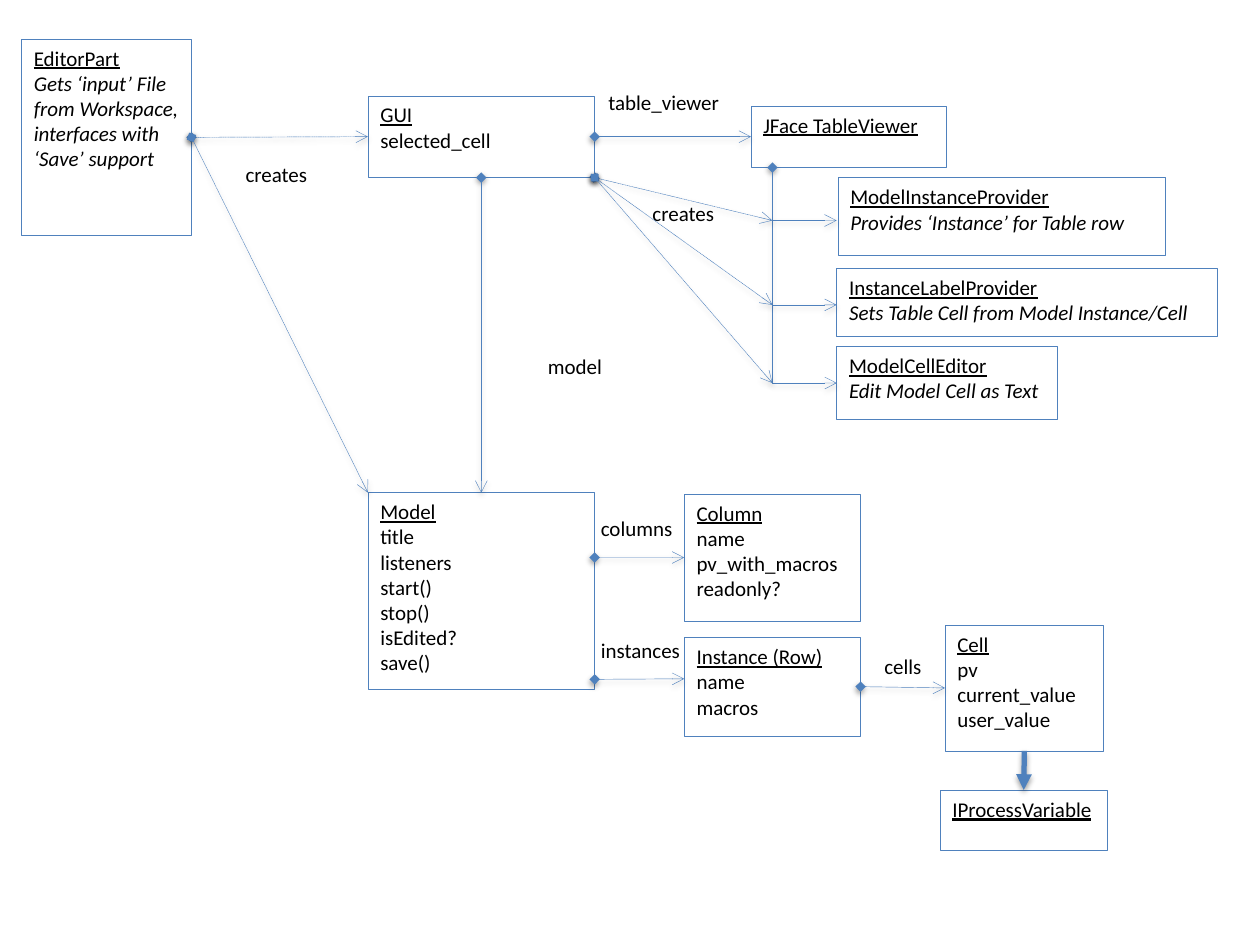
from dataclasses import dataclass

from lxml import etree
from pptx import Presentation
from pptx.dml.color import RGBColor
from pptx.enum import dml, shapes, text
from pptx.oxml import ns
from pptx.util import Inches, Pt


@dataclass(frozen=True)
class Theme:
    """Colours, font and sizes used on the slide."""
    font: str = "Calibri"
    size: int = 12
    ink: RGBColor = RGBColor(0, 0, 0)
    paper: RGBColor = RGBColor(255, 255, 255)
    accent: RGBColor = RGBColor(0x4F, 0x81, 0xBD)
    thin: float = 0.25
    thick: float = 3


THEME = Theme()

# name: (left, top, width, height), member lines, italic members
CLASSES = {
    "EditorPart": ((0.17, 0.31, 1.35, 1.56), [
        "Gets ‘input’ File from Workspace, interfaces with ‘Save’ support"], True),
    "IProcessVariable": ((7.46, 6.27, 1.33, 0.48), [], False),
    "Column": ((5.43, 3.92, 1.4, 1.01), ["name", "pv_with_macros", "readonly?"], False),
    "Model": ((2.92, 3.91, 1.8, 1.56), [
        "title", "listeners", "start()", "stop()", "isEdited?", "save()"], False),
    "GUI": ((2.92, 0.76, 1.8, 0.65), ["selected_cell"], False),
    "Instance (Row)": ((5.43, 5.06, 1.4, 0.78), ["name", "macros"], False),
    "Cell": ((7.5, 4.96, 1.26, 1), ["pv", "current_value", "user_value"], False),
    "JFace TableViewer": ((5.96, 0.84, 1.55, 0.49), [], False),
    "ModelInstanceProvider": ((6.65, 1.41, 2.6, 0.62), [
        "Provides ‘Instance’ for Table row"], True),
    "InstanceLabelProvider": ((6.64, 2.13, 3.02, 0.54), [
        "Sets Table Cell from Model Instance/Cell"], True),
    "ModelCellEditor": ((6.64, 2.75, 1.75, 0.58), ["Edit Model Cell as Text"], True),
}

LABELS = [
    ("columns", 4.67, 4.04, 0.86),
    ("creates", 1.85, 1.23, 0.75),
    ("cells", 6.92, 5.14, 0.67),
    ("instances", 4.67, 5.01, 0.86),
    ("table_viewer", 4.73, 0.66, 1.23),
    ("model", 4.25, 2.76, 0.72),
    ("creates", 5.08, 1.54, 0.75),
]
LABEL_HEIGHT = 0.37

# owner, share of its width and height; target, share of its width and height
OWNS = [
    (("Model", 1, 0.33), ("Column", 0, 0.5)),
    (("Instance (Row)", 1, 0.5), ("Cell", 0, 0.5)),
    (("Model", 1, 0.95), ("Instance (Row)", 0, 0.42)),
    (("GUI", 1, 0.5), ("JFace TableViewer", 0, 0.5)),
    (("GUI", 0.5, 1), ("Model", 0.5, 0)),
]
CREATES = [
    (("EditorPart", 1, 0.5), ("GUI", 0, 0.5)),
    (("EditorPart", 1, 0.5), ("Model", 0, 0)),
]
BUS_X = 6.13
PROVIDER_ROWS = [1.75, 2.42]
EDITOR_ROW = 3.04


def anchor(name, across, down):
    """Return the point at the given shares of a class box."""
    left, top, width, height = CLASSES[name][0]
    return left + across * width, top + down * height


def write(frame, lines, title=False, italic=False):
    """Fill a text frame, underlining the first line when it is a title."""
    frame.word_wrap = True
    frame.vertical_anchor = text.MSO_ANCHOR.TOP
    for index, line in enumerate(lines):
        para = frame.add_paragraph() if index else frame.paragraphs[0]
        para.text = line
        para.alignment = text.PP_ALIGN.LEFT
        para.font.name = THEME.font
        para.font.size = Pt(THEME.size)
        para.font.color.rgb = THEME.ink
        para.font.underline = title and index == 0
        para.font.italic = italic and index > 0


def add_class(page, name, place, members, italic):
    """Draw one class box with its title and members."""
    box = page.shapes.add_shape(shapes.MSO_SHAPE.RECTANGLE, *map(Inches, place))
    box.shadow.inherit = False
    box.fill.solid()
    box.fill.fore_color.rgb = THEME.paper
    box.line.color.rgb = THEME.accent
    box.line.width = Pt(THEME.thin)
    write(box.text_frame, [name, *members], True, italic)


def add_label(page, words, left, top, width):
    """Write one relation name."""
    box = page.shapes.add_textbox(*map(Inches, (left, top, width, LABEL_HEIGHT)))
    write(box.text_frame, [words])


def add_link(page, start, end, head="diamond", tail="arrow", dashed=False,
             width=THEME.thin, kind=shapes.MSO_CONNECTOR.STRAIGHT):
    """Draw a connector with end marks and a soft shadow."""
    link = page.shapes.add_connector(kind, *map(Inches, (*start, *end)))
    link.line.color.rgb = THEME.accent
    link.line.width = Pt(width)
    if dashed:
        link.line.dash_style = dml.MSO_LINE.SQUARE_DOT
    outline = link.line._get_or_add_ln()
    for tag, mark in (("a:headEnd", head), ("a:tailEnd", tail)):
        if mark:
            etree.SubElement(outline, ns.qn(tag), type=mark)
    effects = etree.SubElement(link._element.spPr, ns.qn("a:effectLst"))
    shadow = etree.SubElement(effects, ns.qn("a:outerShdw"), blurRad="40000",
                              dist="20000", dir="5400000", rotWithShape="0")
    colour = etree.SubElement(shadow, ns.qn("a:srgbClr"), val=str(THEME.ink))
    etree.SubElement(colour, ns.qn("a:alpha"), val="38000")
    return link


def add_corner(page, start, end):
    """Draw a connector that runs down, then right."""
    middle_x, middle_y = (start[0] + end[0]) / 2, (start[1] + end[1]) / 2
    half_x, half_y = (end[1] - start[1]) / 2, (end[0] - start[0]) / 2
    link = add_link(page, (middle_x - half_x, middle_y - half_y),
                    (middle_x + half_x, middle_y + half_y),
                    kind=shapes.MSO_CONNECTOR.ELBOW)
    properties = link._element.spPr
    properties.find(ns.qn("a:prstGeom")).set("prst", "bentConnector2")
    frame = properties.find(ns.qn("a:xfrm"))
    frame.set("rot", str(270 * 60000))
    frame.set("flipH", "1")


def build():
    """Build and save the class diagram."""
    deck = Presentation()
    deck.slide_width, deck.slide_height = Inches(10), Inches(7.5)
    page = deck.slides.add_slide(deck.slide_layouts[6])
    for name, details in CLASSES.items():
        add_class(page, name, *details)
    for label in LABELS:
        add_label(page, *label)
    for links, dashed in ((OWNS, False), (CREATES, True)):
        for start, end in links:
            add_link(page, anchor(*start), anchor(*end), dashed=dashed)
    add_link(page, anchor("Cell", 0.5, 1), anchor("IProcessVariable", 0.5, 0),
             head=None, tail="triangle", width=THEME.thick)

    provider_left = anchor("ModelCellEditor", 0, 0)[0]
    viewer_bottom = anchor("JFace TableViewer", 0, 1)[1]
    add_corner(page, (BUS_X, viewer_bottom), (provider_left, EDITOR_ROW))
    for row in PROVIDER_ROWS:
        add_link(page, (BUS_X, row), (provider_left, row), head=None)
    for row in [*PROVIDER_ROWS, EDITOR_ROW]:
        add_link(page, anchor("GUI", 1, 1), (BUS_X, row), dashed=True)
    deck.save("out.pptx")


build()
